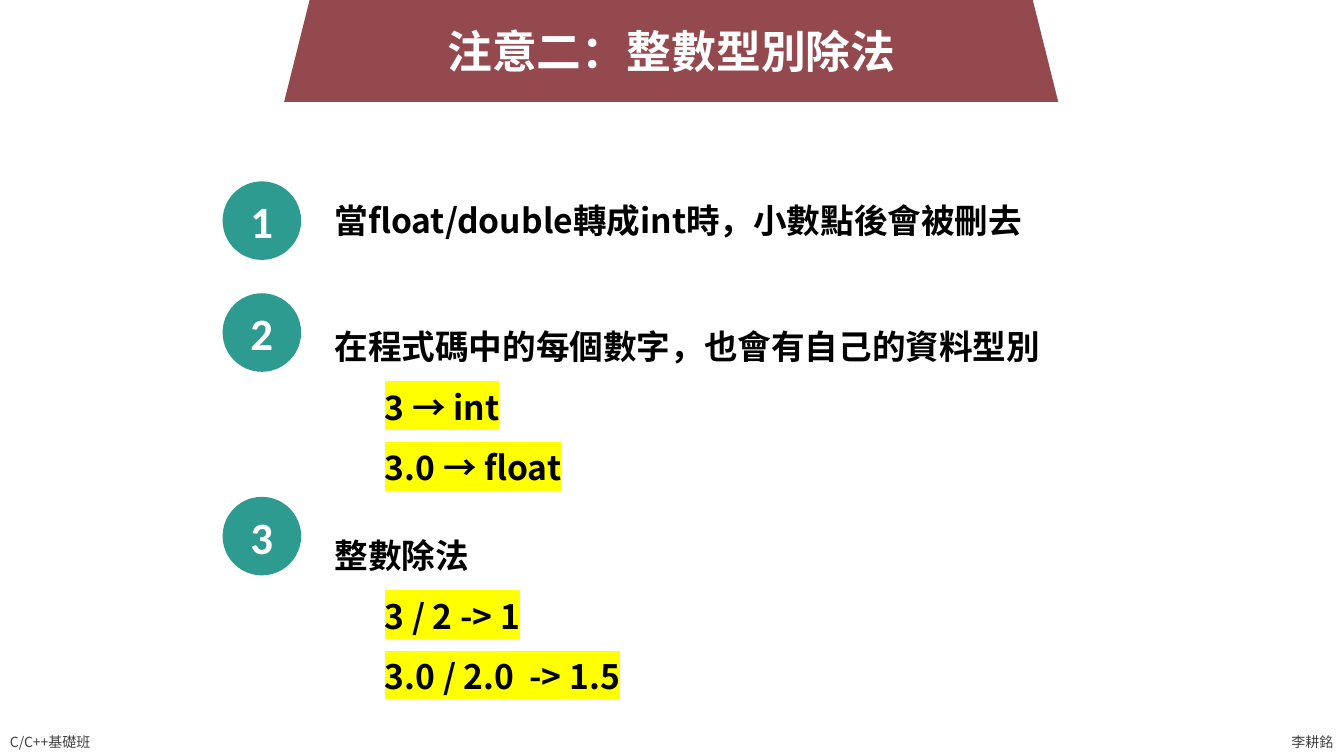
from lxml import etree
from pptx import Presentation
from pptx.dml.color import RGBColor
from pptx.enum.shapes import MSO_SHAPE
from pptx.enum.text import MSO_ANCHOR, PP_ALIGN
from pptx.oxml.ns import qn
from pptx.util import Cm, Pt

CENTER, LEFT, RIGHT = PP_ALIGN.CENTER, PP_ALIGN.LEFT, PP_ALIGN.RIGHT
MIDDLE, TOP = MSO_ANCHOR.MIDDLE, MSO_ANCHOR.TOP
OVAL, TRAPEZOID = MSO_SHAPE.OVAL, MSO_SHAPE.TRAPEZOID


def color(hex_string):
    return RGBColor.from_string(hex_string)


class LessonSlide:
    """Draws the elements of a lesson slide in one shared style."""

    CJK, LATIN = "Noto Sans CJK TC", "Calibri"
    BANNER, BADGE, MARKER = "94494E", "2E9B91", "FFFF00"
    WHITE, BLACK, GRAY = "FFFFFF", "000000", "404040"

    def __init__(self, slide):
        self.slide = slide

    def add_words(self, paragraph, text, size, ink, bold=True, face=CJK, marked=False):
        run = paragraph.add_run()
        run.text = text
        for name, value in {"size": Pt(size), "bold": bold, "name": face}.items():
            setattr(run.font, name, value)
        run.font.color.rgb = color(ink)
        latin = run.font._element.find(qn("a:latin"))
        if marked:
            highlight = etree.Element(qn("a:highlight"))
            etree.SubElement(highlight, qn("a:srgbClr"), val=self.MARKER)
            latin.addprevious(highlight)
        latin.addnext(etree.Element(qn("a:ea"), typeface=face))

    def shape(self, kind, left, top, width, height, fill):
        shape = self.slide.shapes.add_shape(kind, Cm(left), Cm(top), Cm(width), Cm(height))
        shape.shadow.inherit = False
        shape.fill.solid()
        shape.fill.fore_color.rgb = color(fill)
        shape.line.fill.background()
        return shape

    def badge(self, number, top):
        circle = self.shape(OVAL, 5.61, top, 1.98, 1.98, self.BADGE)
        circle.text_frame.vertical_anchor = MIDDLE
        paragraph = circle.text_frame.paragraphs[0]
        paragraph.alignment = CENTER
        self.add_words(paragraph, str(number), 32, self.WHITE, face=self.LATIN)

    def frame(self, left, top, width, height, anchor=MIDDLE, wrap=True):
        box = self.slide.shapes.add_textbox(Cm(left), Cm(top), Cm(width), Cm(height))
        for name, value in {"word_wrap": wrap, "vertical_anchor": anchor}.items():
            setattr(box.text_frame, name, value)
        return box.text_frame

    def label(self, text, left, top, width, height, size, ink, bold, align):
        paragraph = self.frame(left, top, width, height, wrap=False).paragraphs[0]
        paragraph.alignment = align
        self.add_words(paragraph, text, size, ink, bold)

    def point(self, heading, examples, top, width, height, anchor, spacing):
        frame = self.frame(8.18, top, width, height, anchor)
        paragraph = frame.paragraphs[0]
        paragraph.line_spacing = spacing
        self.add_words(paragraph, heading, 24, self.BLACK)
        for example in examples:
            paragraph = frame.add_paragraph()
            paragraph.level = 1
            paragraph.line_spacing = spacing
            properties = paragraph._p.get_or_add_pPr()
            properties.set("marL", str(Cm(1.27)))
            properties.set("indent", "0")
            self.add_words(paragraph, example, 24, self.BLACK, marked=True)


def main():
    deck = Presentation()
    deck.slide_width, deck.slide_height = Cm(33.87), Cm(19.05)
    lesson = LessonSlide(deck.slides.add_slide(deck.slide_layouts[6]))

    lesson.shape(TRAPEZOID, 7.16, -0.53, 19.51, 3.1, lesson.BANNER)
    lesson.label("注意二：整數型別除法", 10.97, 0.46, 11.91, 1.63, 32, lesson.WHITE, True, CENTER)

    points = [
        (4.57, "當float/double轉成int時，小數點後會被刪去", [], 4.9, 17.91, 1.27, MIDDLE, 1),
        (7.39, "在程式碼中的每個數字，也會有自己的資料型別", ["3 → int", "3.0 → float"],
         7.59, 20.19, 4.88, TOP, 1.5),
        (12.52, "整數除法", ["3 / 2 -> 1", "3.0 / 2.0  -> 1.5"], 12.85, 16.94, 4.67, TOP, 1.5),
    ]
    for number, (badge_top, *content) in enumerate(points, 1):
        lesson.badge(number, badge_top)
        lesson.point(*content)

    lesson.label("C/C++基礎班", 0, 18.36, 2.72, 0.69, 10, lesson.GRAY, False, LEFT)
    lesson.label("李耕銘", 32.28, 18.36, 1.57, 0.69, 10, lesson.GRAY, False, RIGHT)
    deck.save("out.pptx")


if __name__ == "__main__":
    main()
